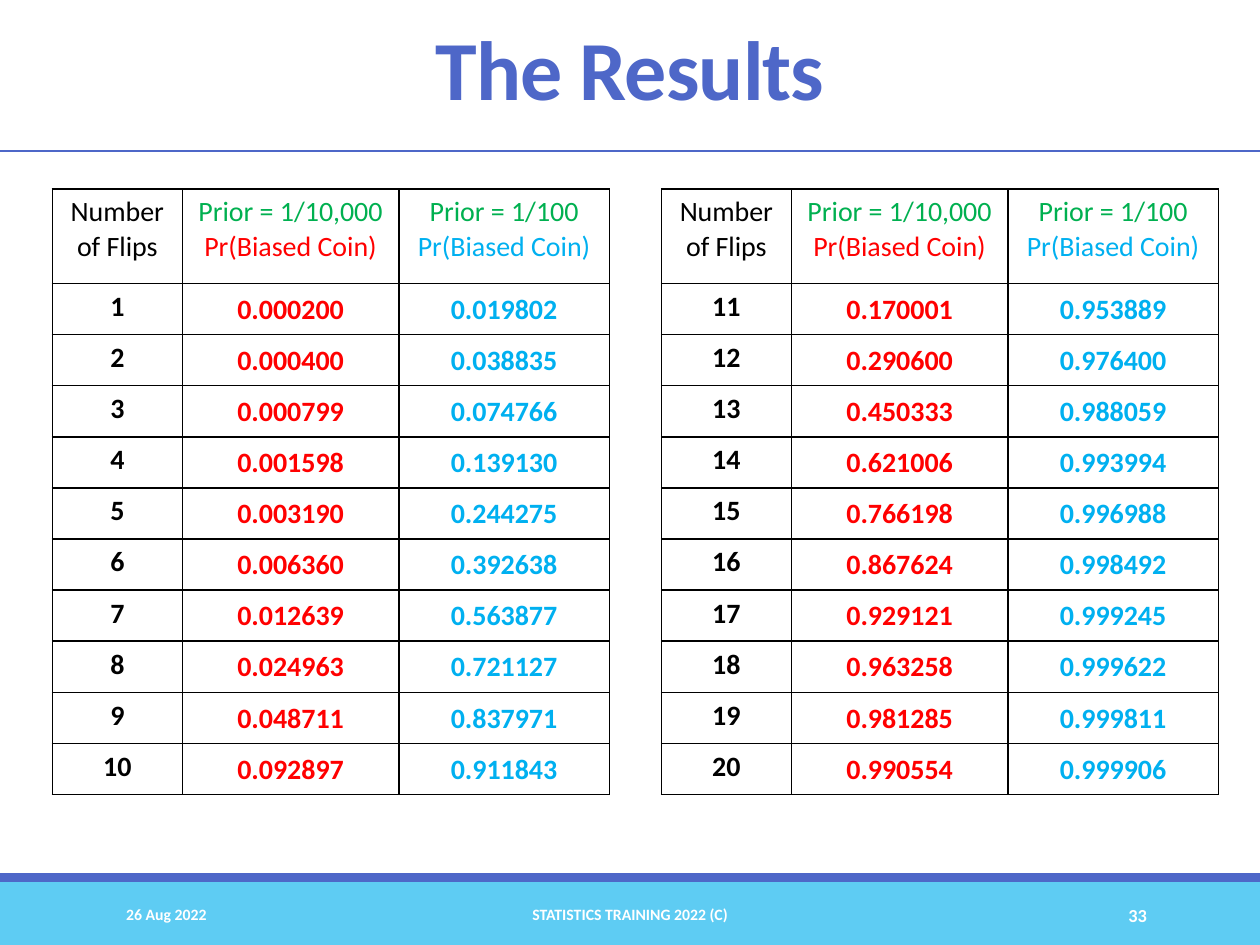
from lxml import etree
from pptx import Presentation
from pptx.dml.color import RGBColor
from pptx.enum import shapes, text
from pptx.oxml import ns
from pptx.util import Pt

HUES = {"navy": "4E67C8", "sky": "5ECCF3", "white": "FFFFFF", "black": "000000",
        "green": "00B050", "red": "FF0000", "blue": "00B0F0"}
PRIORS = [("1/10,000", 1 / 10000, "red"), ("1/100", 1 / 100, "blue")]
COLS = [74.2, 123.8, 120.2]
HEAD, ROW = 54, 29.2
ALIGN = text.PP_ALIGN


def hue(name):
    return RGBColor.from_string(HUES[name])


def style(item, values):
    for key, value in values.items():
        setattr(item, key, value)


def write(frame, lines, size, bold=False, align=ALIGN.CENTER):
    """Fill a text frame with one paragraph per (words, colour) pair."""
    for i, (words, color) in enumerate(lines):
        para = frame.add_paragraph() if i else frame.paragraphs[0]
        para.alignment = align
        run = para.add_run()
        run.text = words
        style(run.font, {"name": "Calibri", "size": Pt(size), "bold": bold})
        run.font.color.rgb = hue(color)


def border(cell):
    props = cell._tc.get_or_add_tcPr()
    for side in "LRTB":
        line = etree.SubElement(props, ns.qn(f"a:ln{side}"), w=str(Pt(1)))
        fill = etree.SubElement(line, ns.qn("a:solidFill"))
        etree.SubElement(fill, ns.qn("a:srgbClr"), val=HUES["black"])


def chance(prior, flips):
    """Probability that the coin is biased after a run of heads."""
    odds = prior * 2 ** flips
    return f"{odds / (odds + 1 - prior):.6f}"


def results(slide, left, top, flips):
    """Draw one table of posterior probabilities, a row per number of flips."""
    frame = slide.shapes.add_table(len(flips) + 1, len(COLS), Pt(left), Pt(top),
                                   Pt(sum(COLS)), Pt(HEAD + ROW * len(flips)))
    table = frame.table
    style(table, {"first_row": False, "horz_banding": False})
    for col, width in zip(table.columns, COLS):
        col.width = Pt(width)
    for i, row in enumerate(table.rows):
        row.height = Pt(ROW if i else HEAD)

    grid = [[[("Number of Flips", "black")]]
            + [[(f"Prior = {name}", "green"), ("Pr(Biased Coin)", color)]
               for name, _, color in PRIORS]]
    grid += [[[(str(n), "black")]]
             + [[(chance(prior, n), color)] for _, prior, color in PRIORS]
             for n in flips]
    tight = {"vertical_anchor": text.MSO_ANCHOR.MIDDLE, "margin_left": Pt(0.72),
             "margin_right": Pt(0.72), "margin_top": Pt(0.72), "margin_bottom": 0}
    for r, row in enumerate(grid):
        for c, lines in enumerate(row):
            cell = table.cell(r, c)
            border(cell)
            cell.fill.solid()
            cell.fill.fore_color.rgb = hue("white")
            if r and c:
                style(cell, tight)
            write(cell.text_frame, lines, 16, bold=r > 0)


def heading(slide, left, top, width, height):
    title = slide.shapes.title
    style(title, {"left": Pt(left), "top": Pt(top),
                  "width": Pt(width), "height": Pt(height)})
    frame = title.text_frame
    style(frame, {"word_wrap": True, "auto_size": text.MSO_AUTO_SIZE.NONE,
                  "vertical_anchor": text.MSO_ANCHOR.MIDDLE})
    write(frame, [("The Results", "navy")], 48, bold=True)
    para = frame.paragraphs[0]
    para.line_spacing = 0.85
    para.runs[0].font._element.set("spc", "-50")


def rule(slide, left, top, width):
    line = slide.shapes.add_connector(shapes.MSO_CONNECTOR.STRAIGHT, Pt(left),
                                      Pt(top), Pt(left + width), Pt(top))
    line.line.color.rgb = hue("navy")
    line.line.width = Pt(1)
    etree.SubElement(line._element.spPr, ns.qn("a:effectLst"))


def footer(slide, left, top, width, height):
    strip = 5
    for y, tall, color in [(top + strip, height - strip, "sky"), (top, strip, "navy")]:
        band = slide.shapes.add_shape(shapes.MSO_SHAPE.RECTANGLE, Pt(left), Pt(y),
                                      Pt(width), Pt(tall))
        band.shadow.inherit = False
        band.fill.solid()
        band.fill.fore_color.rgb = hue(color)
        band.line.fill.background()
    notes = [(65, 146, "26 Aug 2022", 9, ALIGN.LEFT),
             (217.5, 285, "STATISTICS TRAINING 2022 (C)", 9, ALIGN.CENTER),
             (585, 77.5, "33", 10.5, ALIGN.RIGHT)]
    for x, wide, words, size, align in notes:
        box = slide.shapes.add_textbox(Pt(left + x), Pt(top + 9.3), Pt(wide), Pt(28.8))
        style(box.text_frame, {"word_wrap": True,
                               "vertical_anchor": text.MSO_ANCHOR.MIDDLE})
        write(box.text_frame, [(words, "white")], size, bold=True, align=align)


def main():
    deck = Presentation()
    style(deck, {"slide_width": Pt(720), "slide_height": Pt(540)})
    slide = deck.slides.add_slide(deck.slide_layouts[5])
    footer(slide, 0, 499, 720, 41)
    for i in range(2):
        results(slide, 30 + 348 * i, 108, range(10 * i + 1, 10 * i + 11))
    rule(slide, 0, 86.4, 720)
    heading(slide, 63, 11.5, 594, 62)
    deck.save("out.pptx")


if __name__ == "__main__":
    main()
